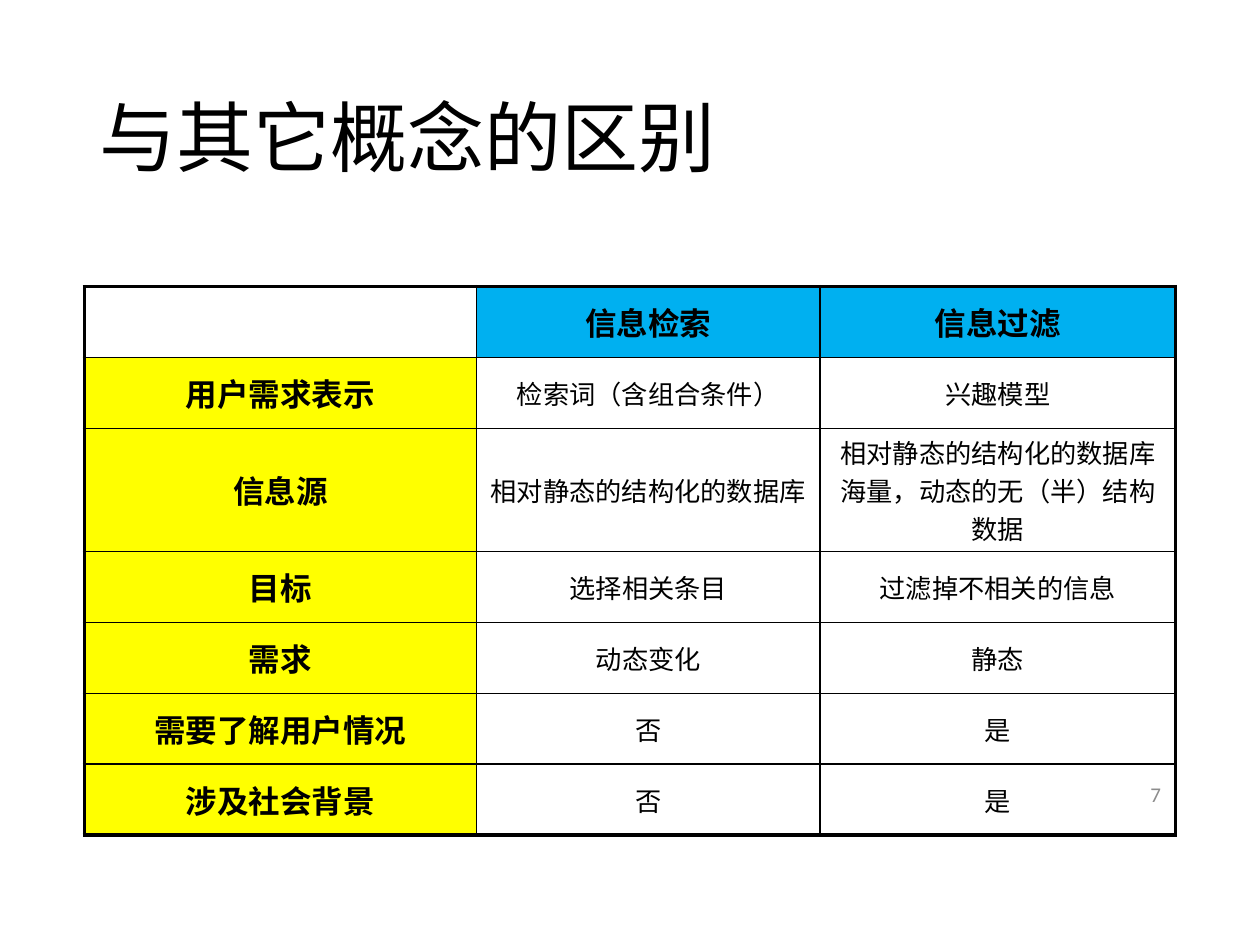
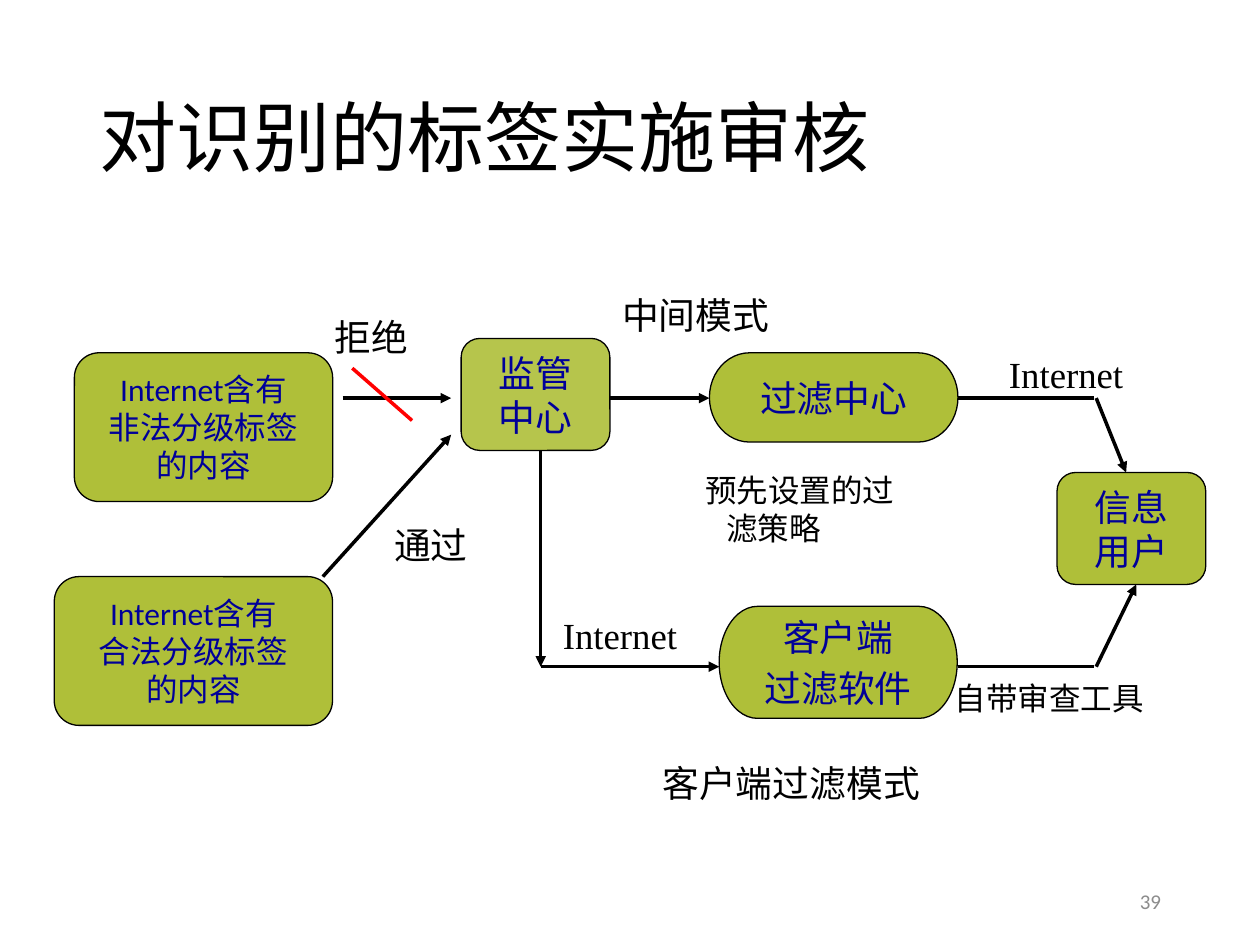
from lxml.etree import SubElement
from pptx import Presentation
from pptx.dml.color import RGBColor
from pptx.enum.shapes import MSO_CONNECTOR, MSO_SHAPE
from pptx.enum.text import MSO_ANCHOR, PP_ALIGN
from pptx.oxml.ns import qn
from pptx.util import Pt

BLACK = RGBColor(0x00, 0x00, 0x00)
GRAY = RGBColor(0x8C, 0x8C, 0x8C)
RED = RGBColor(0xFF, 0x00, 0x00)
BLUE = RGBColor(0x00, 0xB0, 0xF0)
YELLOW = RGBColor(0xFF, 0xFF, 0x00)
OLIVE = RGBColor(0xAF, 0xBF, 0x39)
NAVY = RGBColor(0x00, 0x00, 0x99)
CJK = "Noto Sans CJK SC"
SANS = "Calibri"
SERIF = "Times New Roman"


def write(frame, text, size, face, color, align=PP_ALIGN.LEFT, bold=False, east_asian=SANS):
    frame.text = text
    for paragraph in frame.paragraphs:
        paragraph.alignment = align
        font = paragraph.font
        font.size, font.bold, font.name = Pt(size), bold, face
        font.color.rgb = color
        defaults = paragraph._p.pPr.find(qn("a:defRPr"))
        SubElement(defaults, qn("a:ea")).set("typeface", east_asian)


def draw_line(slide, x1, y1, x2, y2, color=BLACK, arrow=False):
    line = slide.shapes.add_connector(MSO_CONNECTOR.STRAIGHT, Pt(x1), Pt(y1), Pt(x2), Pt(y2))
    line.line.color.rgb = color
    line.line.width = Pt(2)
    if arrow:
        SubElement(line.line._get_or_add_ln(), qn("a:tailEnd")).set("type", "triangle")
    SubElement(line._element.spPr, qn("a:effectLst"))


prs = Presentation()
prs.slide_width, prs.slide_height = Pt(720), Pt(540)

slides = []
for heading, number, number_top, number_height in [
    ("与其它概念的区别", "7", 442.8, 21.6),
    ("对识别的标签实施审核", "39", 500.4, 28.8),
]:
    slide = prs.slides.add_slide(prs.slide_layouts[5])
    title = slide.shapes.title
    title.left, title.top, title.width, title.height = Pt(49.5), Pt(28.8), Pt(621), Pt(104.4)
    title.text_frame.vertical_anchor = MSO_ANCHOR.MIDDLE
    write(title.text_frame, heading, 44, SANS, BLACK)
    title.text_frame.paragraphs[0].line_spacing = 0.9
    page = slide.shapes.add_textbox(Pt(508.5), Pt(number_top), Pt(162), Pt(number_height))
    page.text_frame.word_wrap = True
    page.text_frame.vertical_anchor = MSO_ANCHOR.MIDDLE
    write(page.text_frame, number, 12, SANS, GRAY, PP_ALIGN.RIGHT)
    slides.append(slide)
comparison, review = slides

rows = [
    ("", "信息检索", "信息过滤"),
    ("用户需求表示", "检索词（含组合条件）", "兴趣模型"),
    ("信息源", "相对静态的结构化的数据库", "相对静态的结构化的数据库海量，动态的无（半）结构数据"),
    ("目标", "选择相关条目", "过滤掉不相关的信息"),
    ("需求", "动态变化", "静态"),
    ("需要了解用户情况", "否", "是"),
    ("涉及社会背景", "否", "是"),
]
column_widths = [224, 196.5, 203]
row_heights = [70.5 if row[0] == "信息源" else 40.5 for row in rows]
table = comparison.shapes.add_table(
    len(rows), len(column_widths), Pt(48.2), Pt(163.8), Pt(sum(column_widths)), Pt(sum(row_heights))
).table
table.first_row = table.horz_banding = False
for column, width in zip(table.columns, column_widths):
    column.width = Pt(width)
last_row, last_column = len(rows) - 1, len(column_widths) - 1
for r, row in enumerate(rows):
    table.rows[r].height = Pt(row_heights[r])
    for c, text in enumerate(row):
        cell = table.cell(r, c)
        cell.vertical_anchor = MSO_ANCHOR.MIDDLE
        cell.margin_top = cell.margin_bottom = Pt(2.7)
        is_header = r == 0 or c == 0
        face = CJK if is_header else "Arial" if r == 1 else "Lato"
        write(cell.text_frame, text, 18 if is_header else 15, face, BLACK,
              PP_ALIGN.CENTER, is_header, CJK)
        outer_edges = {"lnL": c == 0, "lnR": c == last_column, "lnT": r == 0, "lnB": r == last_row}
        for edge, is_outer in outer_edges.items():
            border = SubElement(cell._tc.get_or_add_tcPr(), qn(f"a:{edge}"))
            border.set("w", str(Pt(2.25 if is_outer else 1)))
            SubElement(SubElement(border, qn("a:solidFill")), qn("a:srgbClr")).set("val", str(BLACK))
        if is_header and text:
            cell.fill.solid()
            cell.fill.fore_color.rgb = BLUE if r == 0 else YELLOW
        else:
            cell.fill.background()

ROUNDED, TERMINATOR = MSO_SHAPE.ROUNDED_RECTANGLE, MSO_SHAPE.FLOWCHART_TERMINATOR
stages = [
    (ROUNDED, 42.5, 201.6, 147.6, 85, "Internet含有\n非法分级标签\n的内容", 18, SANS),
    (ROUNDED, 31, 329.5, 159, 85, "Internet含有\n合法分级标签\n的内容", 18, SANS),
    (ROUNDED, 263.5, 193.4, 85, 64, "监管\n中心", 21, SANS),
    (TERMINATOR, 411, 346.5, 136, 64, "客户端\n过滤软件", 21, SERIF),
    (TERMINATOR, 405.4, 201.6, 142, 51, "过滤中心", 21, SERIF),
    (ROUNDED, 604, 270, 85, 64, "信息\n用户", 21, SANS),
]
for outline, left, top, width, height, text, size, face in stages:
    stage = review.shapes.add_shape(outline, Pt(left), Pt(top), Pt(width), Pt(height))
    stage.shadow.inherit = False
    stage.fill.solid()
    stage.fill.fore_color.rgb = OLIVE
    stage.line.color.rgb = BLACK
    stage.line.width = Pt(0.75)
    frame = stage.text_frame
    frame.word_wrap = False
    frame.vertical_anchor = MSO_ANCHOR.MIDDLE
    write(frame, text, size, face, NAVY, PP_ALIGN.CENTER)
    if outline == TERMINATOR:
        for paragraph in frame.paragraphs[1:]:
            paragraph.space_before = Pt(4)
    if text.startswith("监管"):
        olive = stage._element.spPr.find(qn("a:solidFill"))[0]
        SubElement(olive, qn("a:alpha")).set("val", "90000")

flows = [
    (184.5, 329.5, 257.8, 248.4, True),
    (195.8, 227.5, 257.8, 227.5, True),
    (309, 257.3, 309, 381, True),
    (309, 381, 411, 381, True),
    (348.5, 227.5, 405.4, 227.5, True),
    (547.2, 227.5, 625, 227.5, False),
    (547.2, 381, 625, 381, False),
    (626.4, 227.5, 643.5, 270, True),
    (626.4, 381, 649.3, 334, True),
]
for x1, y1, x2, y2, arrow in flows:
    draw_line(review, x1, y1, x2, y2, arrow=arrow)
draw_line(review, 235.5, 240.3, 201.3, 210.4, RED)

labels = [
    (348.5, 163.5, 136, "中间模式", 21),
    (371.5, 431.3, 221, "客户端过滤模式", 21),
    (184.3, 176.4, 73.5, "拒绝", 21),
    (569.5, 197.3, 113, "Internet", 21),
    (314.6, 346.5, 113, "Internet", 21),
    (218.2, 295.2, 73.5, "通过", 21),
    (388, 265.7, 142, "预先设置的过滤策略", 18),
    (538.6, 384.5, 127.5, "自带审查工具", 18),
]
for left, top, width, text, size in labels:
    label = review.shapes.add_textbox(Pt(left), Pt(top), Pt(width), Pt(32.4))
    label.text_frame.word_wrap = True
    write(label.text_frame, text, size, SERIF, BLACK)
    if text.startswith("预先"):
        label.height = Pt(51)
        properties = label.text_frame.paragraphs[0]._p.pPr
        properties.set("marL", str(Pt(20)))
        properties.set("indent", str(Pt(-12)))

prs.save("out.pptx")
